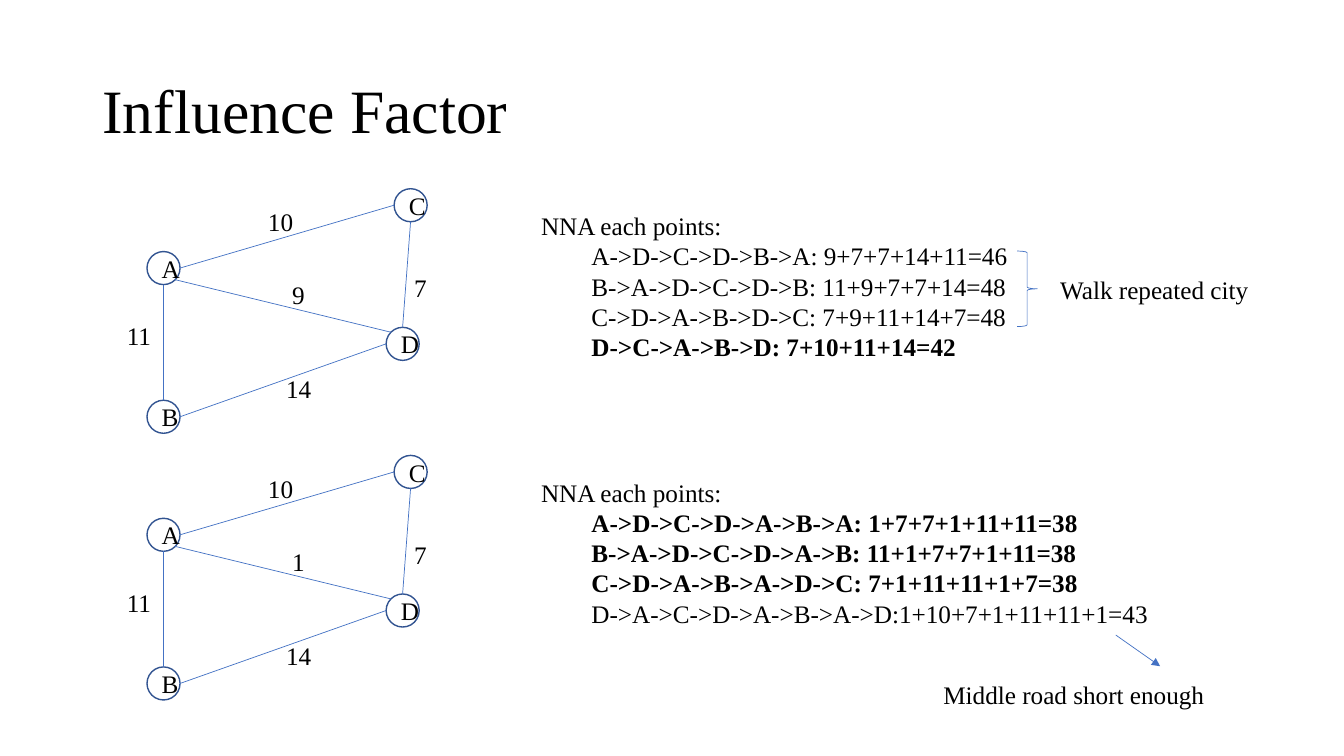
"""Build the Influence Factor slide: two weighted city graphs with their nearest-neighbour routes."""
from dataclasses import dataclass

from lxml import etree
from pptx import Presentation
from pptx.dml.color import RGBColor
from pptx.enum import shapes, text
from pptx.oxml import ns
from pptx.util import Pt

BLACK = RGBColor(0x00, 0x00, 0x00)
EDGE_BLUE = RGBColor(0x44, 0x72, 0xC4)
RIM_BLUE = RGBColor(0x32, 0x54, 0x91)

BODY_FONT = {"name": "Times New Roman", "size": Pt(18)}
TITLE_FONT = {**BODY_FONT, "size": Pt(44)}
BOX_FRAME = {"word_wrap": True, "auto_size": text.MSO_AUTO_SIZE.SHAPE_TO_FIT_TEXT}
MIDDLE_FRAME = {"word_wrap": True, "vertical_anchor": text.MSO_ANCHOR.MIDDLE}

CITY_SIZE = 23.6
LABEL_WIDTH, LABEL_HEIGHT = 35.3, 29.1
NORTH, SOUTH, EAST, WEST = (0.5, 0), (0.5, 1), (1, 0.5), (0, 0.5)
SOUTH_EAST, NORTH_WEST = (0.85, 0.85), (0.15, 0.15)

CITIES = {"A": (105, 44.9), "B": (105, 151.1), "D": (275.8, 99), "C": (281.5, 0)}


@dataclass(frozen=True)
class Road:
    start: str
    start_side: tuple[float, float]
    end: str
    end_side: tuple[float, float]
    label_at: tuple[float, float]


@dataclass(frozen=True)
class Line:
    wording: str
    bold: bool = False
    level: int = 0


@dataclass(frozen=True)
class CityMap:
    top: float
    weights: tuple[int, ...]
    routes: tuple[Line, ...]


ROADS = (
    Road("A", EAST, "C", WEST, (184.3, 9.1)),
    Road("A", SOUTH, "B", NORTH, (83.5, 90.4)),
    Road("B", EAST, "D", WEST, (197.3, 128.6)),
    Road("D", NORTH, "C", SOUTH, (288.7, 56.2)),
    Road("A", SOUTH_EAST, "D", NORTH_WEST, (201.6, 61.2)),
)
HEADING = Line("NNA each points:")
CITY_MAPS = (
    CityMap(325.3, (10, 11, 14, 7, 1), (
        HEADING,
        Line("A->D->C->D->A->B->A: 1+7+7+1+11+11=38", True, 1),
        Line("B->A->D->C->D->A->B: 11+1+7+7+1+11=38", True, 1),
        Line("C->D->A->B->A->D->C: 7+1+11+11+1+7=38", True, 1),
        Line("D->A->C->D->A->B->A->D:1+10+7+1+11+11+1=43", False, 1),
    )),
    CityMap(134.8, (10, 11, 14, 7, 9), (
        HEADING,
        Line("A->D->C->D->B->A: 9+7+7+14+11=46", False, 1),
        Line("B->A->D->C->D->B: 11+9+7+7+14=48", False, 1),
        Line("C->D->A->B->D->C: 7+9+11+14+7=48", False, 1),
        Line("D->C->A->B->D: 7+10+11+14=42", True, 1),
    )),
)


def apply(target, values: dict) -> None:
    for name, value in values.items():
        setattr(target, name, value)


def write(frame, lines: tuple[Line, ...], frame_format: dict, font_format: dict,
          paragraph_format: dict) -> None:
    apply(frame, frame_format)
    for index, line in enumerate(lines):
        paragraph = frame.add_paragraph() if index else frame.paragraphs[0]
        apply(paragraph, {**paragraph_format, "level": line.level})
        run = paragraph.add_run()
        run.text = line.wording
        apply(run.font, {**font_format, "bold": line.bold})
        run.font.color.rgb = BLACK


def add_text(canvas, left: float, top: float, width: float, height: float, *lines: Line) -> None:
    box = canvas.add_textbox(Pt(left), Pt(top), Pt(width), Pt(height))
    write(box.text_frame, lines, BOX_FRAME, BODY_FONT, {})


def add_outline(canvas, kind, left: float, top: float, width: float, height: float,
                colour: RGBColor, weight: float):
    outline = canvas.add_shape(kind, Pt(left), Pt(top), Pt(width), Pt(height))
    outline.shadow.inherit = False
    outline.fill.background()
    outline.line.color.rgb = colour
    outline.line.width = Pt(weight)
    return outline


def add_line(canvas, start: tuple[float, float], end: tuple[float, float], arrow: bool = False) -> None:
    line = canvas.add_connector(shapes.MSO_CONNECTOR.STRAIGHT, *map(Pt, (*start, *end)))
    line.line.color.rgb = EDGE_BLUE
    line.line.width = Pt(0.5)
    if arrow:
        etree.SubElement(line.line._get_or_add_ln(), ns.qn("a:tailEnd"), type="triangle")
    etree.SubElement(line._element.spPr, ns.qn("a:effectLst"))


def road_end(city: str, side: tuple[float, float], map_top: float) -> tuple[float, float]:
    left, top = CITIES[city]
    return left + side[0] * CITY_SIZE, map_top + top + side[1] * CITY_SIZE


def add_city_map(slide, city_map: CityMap) -> None:
    canvas = slide.shapes.add_group_shape().shapes
    for city, (left, top) in CITIES.items():
        circle = add_outline(canvas, shapes.MSO_SHAPE.OVAL, left, city_map.top + top,
                             CITY_SIZE, CITY_SIZE, RIM_BLUE, 1)
        write(circle.text_frame, (Line(city),), MIDDLE_FRAME, BODY_FONT,
              {"alignment": text.PP_ALIGN.CENTER})
    for road in ROADS:
        add_line(canvas, road_end(road.start, road.start_side, city_map.top),
                 road_end(road.end, road.end_side, city_map.top))
    for road, weight in zip(ROADS, city_map.weights):
        left, top = road.label_at
        add_text(canvas, left, city_map.top + top, LABEL_WIDTH, LABEL_HEIGHT, Line(str(weight)))
    add_text(canvas, 379.4, city_map.top + 11.9, 523.4, 116.6, *city_map.routes)


def add_title(slide) -> None:
    title = slide.shapes.title
    apply(title, {"left": Pt(66), "top": Pt(28.8), "width": Pt(828), "height": Pt(104.4)})
    write(title.text_frame, (Line("Influence Factor"),), MIDDLE_FRAME, TITLE_FONT,
          {"alignment": text.PP_ALIGN.LEFT, "line_spacing": 0.9})


def main() -> None:
    deck = Presentation()
    apply(deck, {"slide_width": Pt(960), "slide_height": Pt(540)})
    slide = deck.slides.add_slide(deck.slide_layouts[5])
    add_title(slide)
    for city_map in CITY_MAPS:
        add_city_map(slide, city_map)
    add_outline(slide.shapes, shapes.MSO_SHAPE.RIGHT_BRACE, 726.5, 179.3, 14.4, 54, EDGE_BLUE, 0.5)
    add_text(slide.shapes, 750.2, 192.2, 157, LABEL_HEIGHT, Line("Walk repeated city"))
    add_line(slide.shapes, (797, 453.6), (828.7, 475.9), arrow=True)
    add_text(slide.shapes, 666.7, 481.7, 260.6, LABEL_HEIGHT, Line("Middle road short enough"))
    deck.save("out.pptx")


if __name__ == "__main__":
    main()
